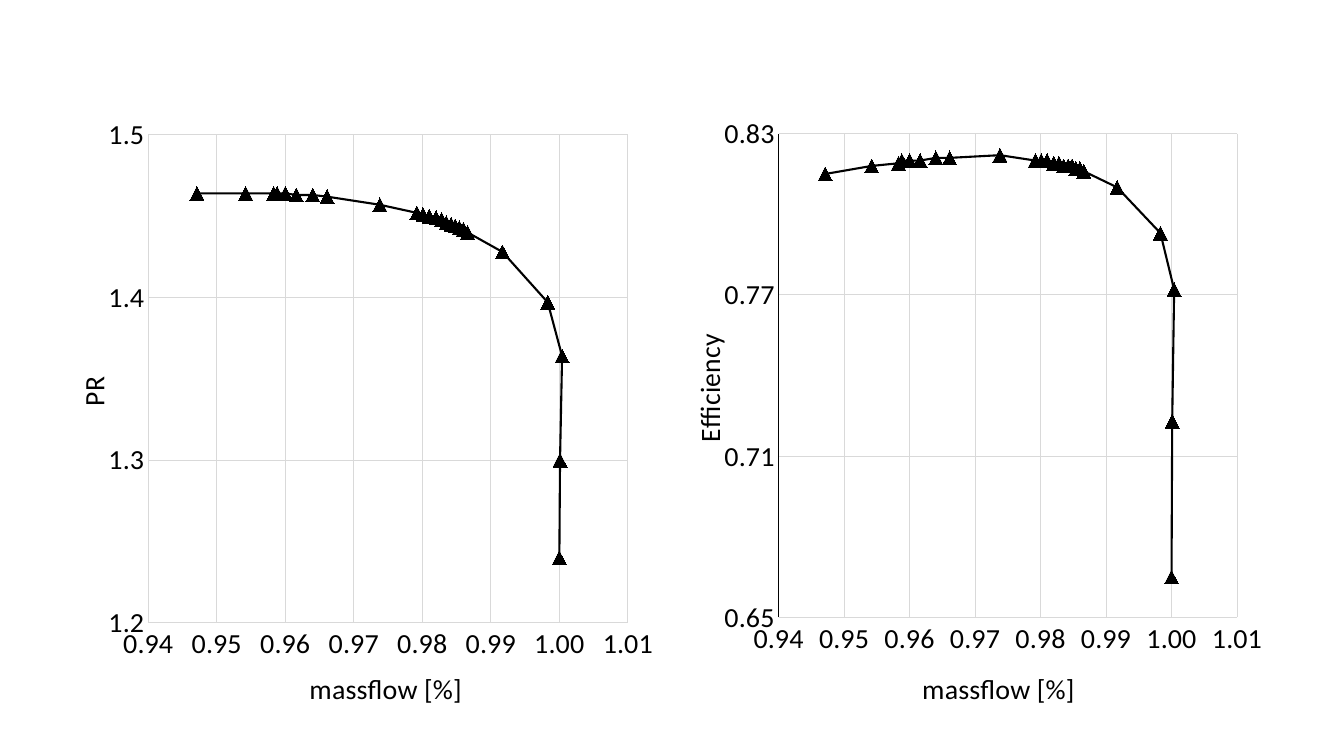
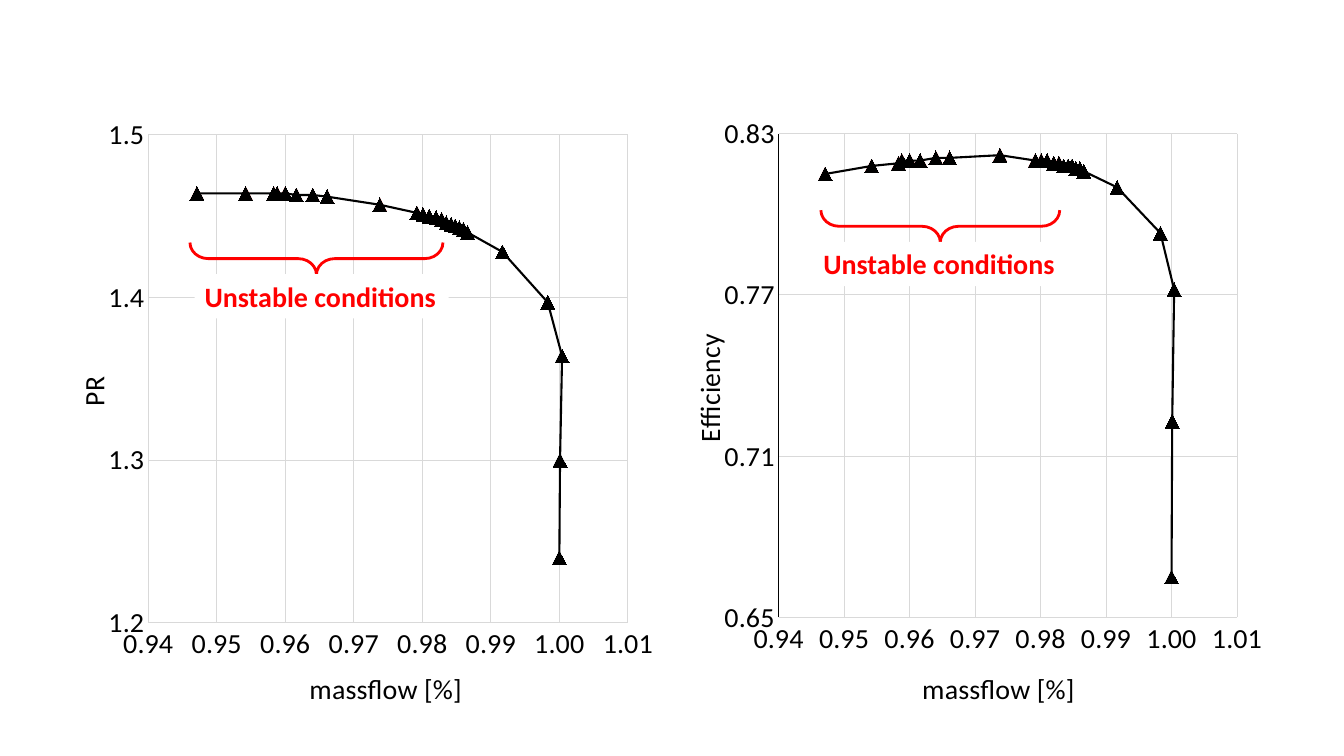
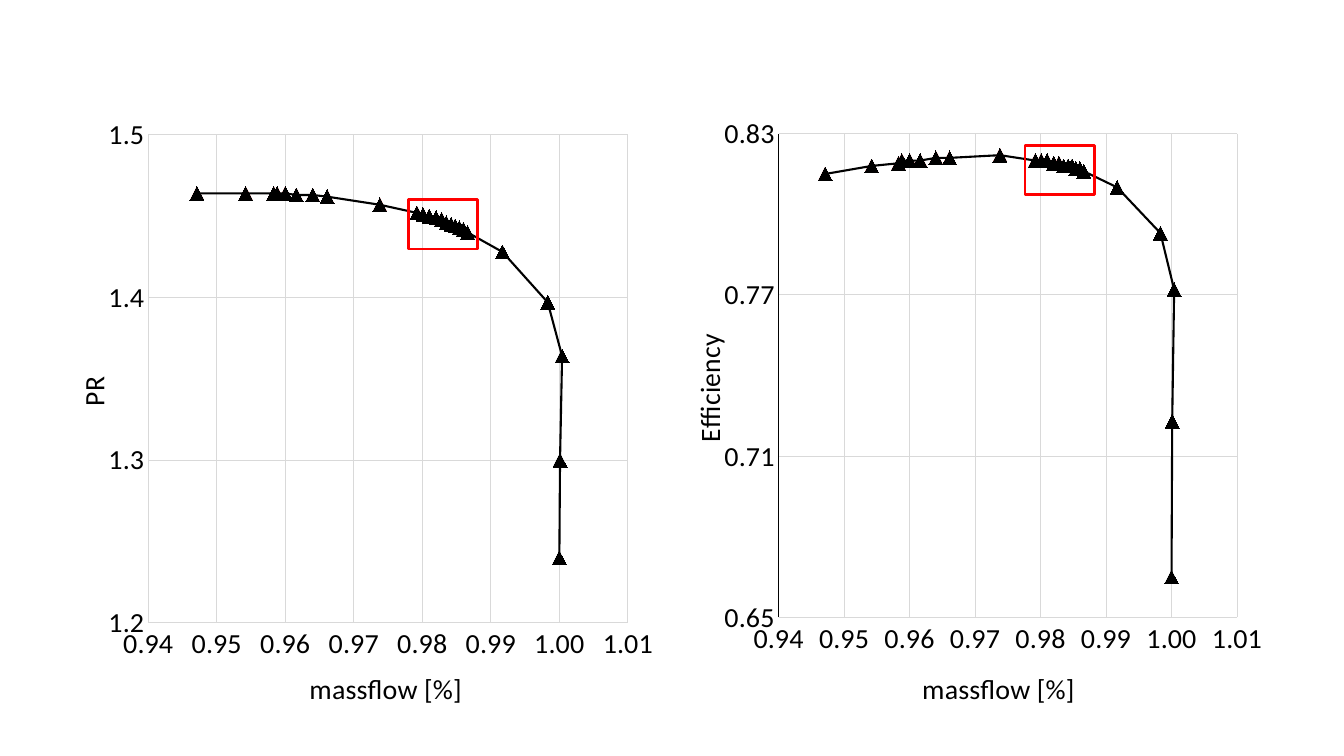
from dataclasses import dataclass

from lxml import etree
from pptx import Presentation
from pptx.chart.data import XyChartData
from pptx.dml.color import RGBColor
from pptx.enum.chart import XL_CHART_TYPE, XL_MARKER_STYLE, XL_TICK_MARK
from pptx.enum.shapes import MSO_SHAPE
from pptx.enum.text import MSO_ANCHOR, MSO_AUTO_SIZE, PP_ALIGN
from pptx.oxml.ns import qn
from pptx.util import Pt

# Shared style
FONT, TEXT_SIZE = "Calibri", 20
BLACK, RED, WHITE, GRID = "000000", "FF0000", "FFFFFF", "D9D9D9"
CHART_TOP, CHART_SIZE = 78.5, 432
LABEL_WIDTH, LABEL_HEIGHT = 181.4, 31.7
FRAME_WIDTH, FRAME_HEIGHT = 49.7, 35.3
BRACE_DEPTH = 23

# Operating points, from choke to stall
MASSFLOW = [1, 1.0001, 1.0004, 0.9983, 0.9917, 0.9866, 0.986, 0.9854, 0.9848,
            0.9842, 0.9835, 0.9828, 0.982, 0.981, 0.9801, 0.9792, 0.9738,
            0.9661, 0.964, 0.9616, 0.96, 0.9588, 0.9583, 0.9542, 0.9471]
PRESSURE_RATIO = [1.24, 1.3, 1.364, 1.397, 1.428, 1.44, 1.442, 1.443, 1.444,
                  1.445, 1.446, 1.448, 1.449, 1.45, 1.451, 1.452, 1.457,
                  1.462, 1.463, 1.463, 1.464, 1.464, 1.464, 1.464, 1.464]
EFFICIENCY = [0.665, 0.723, 0.772, 0.793, 0.81, 0.816, 0.817, 0.817, 0.818,
              0.818, 0.818, 0.819, 0.819, 0.82, 0.82, 0.82, 0.822,
              0.821, 0.821, 0.82, 0.82, 0.82, 0.819, 0.818, 0.815]
FIRST_UNSTABLE = 11


@dataclass
class Panel:
    """One performance map and the places of its annotations."""
    left: float
    title: str
    values: list
    scale: tuple            # minimum, maximum, step
    number_format: str
    axis_line: bool
    plot: tuple             # x, y, width, height as fractions
    x_title_at: tuple
    y_title_at: tuple
    brace: tuple            # left, top, length
    label: tuple            # left, top
    frame: tuple            # left, top


PANELS = [
    Panel(40.3, "PR", PRESSURE_RATIO, (1.2, 1.5, 0.1), "General", False,
          (0.152, 0.042, 0.793, 0.819), (0.41, 0.93), (0.02, 0.44),
          (135.7, 173.2, 180.7), (139, 195.8), (291.6, 142.6)),
    Panel(480.2, "Efficiency", EFFICIENCY, (0.65, 0.83, 0.06), "#,##0.00", True,
          (0.176, 0.04, 0.758, 0.812), (0.405, 0.93), (0.02, 0.37),
          (586.4, 150.1, 170.6), (581, 172.8), (732.2, 103.7)),
]


def rgb(hex_colour):
    return RGBColor.from_string(hex_colour)


def set_font(font, colour=BLACK, bold=False):
    font.name, font.size, font.bold = FONT, Pt(TEXT_SIZE), bold
    font.color.rgb = rgb(colour)


def set_line(line, colour, width):
    line.color.rgb = rgb(colour)
    line.width = Pt(width)


def set_layout(parent, index, **settings):
    """Give a plot area or an axis title a fixed place in its chart."""
    for old in parent.findall(qn("c:layout")):
        parent.remove(old)
    layout = etree.Element(qn("c:layout"))
    manual = etree.SubElement(layout, qn("c:manualLayout"))
    for name, value in settings.items():
        etree.SubElement(manual, qn("c:" + name)).set("val", str(value))
    parent.insert(index, layout)


# Charts
def style_axis(axis, title, title_at, scale, number_format, has_line):
    axis.minimum_scale, axis.maximum_scale, axis.major_unit = scale
    axis.major_tick_mark = axis.minor_tick_mark = XL_TICK_MARK.NONE
    axis.has_major_gridlines = True
    set_line(axis.major_gridlines.format.line, GRID, 0.75)
    if has_line:
        set_line(axis.format.line, BLACK, 0.75)
    else:
        axis.format.line.fill.background()
    labels = axis.tick_labels
    labels.number_format, labels.number_format_is_linked = number_format, False
    set_font(labels.font)
    frame = axis.axis_title.text_frame
    frame.text = title
    set_font(frame.paragraphs[0].runs[0].font)
    x, y = title_at
    set_layout(frame._txBody.getparent().getparent(), 1,
               xMode="edge", yMode="edge", x=x, y=y)


def style_series(series, colour, has_line):
    series.smooth = False
    if has_line:
        set_line(series.format.line, colour, 1.5)
    else:
        series.format.line.fill.background()
    marker = series.marker
    marker.style, marker.size = XL_MARKER_STYLE.TRIANGLE, 10
    marker.format.fill.solid()
    marker.format.fill.fore_color.rgb = rgb(colour)
    set_line(marker.format.line, colour, 0.75)


def add_map(slide, panel, mark_unstable):
    data = XyChartData()
    starts = [0, FIRST_UNSTABLE] if mark_unstable else [0]
    for number, start in enumerate(starts, 1):
        series = data.add_series(f"Series {number}")
        for x, y in zip(MASSFLOW[start:], panel.values[start:]):
            series.add_data_point(x, y)
    chart = slide.shapes.add_chart(
        XL_CHART_TYPE.XY_SCATTER_LINES, Pt(panel.left), Pt(CHART_TOP),
        Pt(CHART_SIZE), Pt(CHART_SIZE), data).chart
    chart.has_title = chart.has_legend = False
    set_font(chart.font)
    plot = chart.plots[0]
    plot.vary_by_categories = False
    for series, colour in zip(plot.series, (BLACK, RED)):
        style_series(series, colour, has_line=colour == BLACK)
    style_axis(chart.category_axis, "massflow [%]", panel.x_title_at,
               (0.94, 1.01, 0.01), "#,##0.00", False)
    style_axis(chart.value_axis, panel.title, panel.y_title_at,
               panel.scale, panel.number_format, panel.axis_line)
    x, y, width, height = panel.plot
    set_layout(chart._chartSpace.chart.plotArea, 0, layoutTarget="inner",
               xMode="edge", yMode="edge", x=x, y=y, w=width, h=height)


# Annotations
def add_shape(slide, kind, left, top, width, height, fill=None, outline=None):
    shape = slide.shapes.add_shape(kind, Pt(left), Pt(top), Pt(width), Pt(height))
    shape.shadow.inherit = False
    if fill:
        shape.fill.solid()
        shape.fill.fore_color.rgb = rgb(fill)
    else:
        shape.fill.background()
    if outline:
        set_line(shape.line, outline, 2)
    else:
        shape.line.fill.background()
    return shape


def add_brace(slide, left, top, length):
    """A brace that lies flat, with its tip down."""
    shift = (length - BRACE_DEPTH) / 2
    brace = add_shape(slide, MSO_SHAPE.LEFT_BRACE, left + shift, top - shift,
                      BRACE_DEPTH, length, outline=RED)
    brace.rotation = 270
    brace.adjustments[0], brace.adjustments[1] = 0.568, 0.5


def add_label(slide, text, left, top):
    label = add_shape(slide, MSO_SHAPE.RECTANGLE, left, top,
                      LABEL_WIDTH, LABEL_HEIGHT, fill=WHITE)
    frame = label.text_frame
    frame.text = text
    frame.word_wrap = False
    frame.auto_size = MSO_AUTO_SIZE.SHAPE_TO_FIT_TEXT
    frame.vertical_anchor = MSO_ANCHOR.TOP
    paragraph = frame.paragraphs[0]
    paragraph.alignment = PP_ALIGN.LEFT
    set_font(paragraph.runs[0].font, RED, bold=True)


def add_maps_slide(deck, mark_unstable=False):
    slide = deck.slides.add_slide(deck.slide_layouts[6])
    for panel in PANELS:
        add_map(slide, panel, mark_unstable)
    return slide


def main():
    deck = Presentation()
    deck.slide_width, deck.slide_height = Pt(960), Pt(540)

    # Maps alone
    add_maps_slide(deck)

    # Unstable range
    slide = add_maps_slide(deck, mark_unstable=True)
    for panel in PANELS:
        add_brace(slide, *panel.brace)
        add_label(slide, "Unstable conditions", *panel.label)

    # Onset of instability
    slide = add_maps_slide(deck, mark_unstable=True)
    for panel in PANELS:
        add_shape(slide, MSO_SHAPE.RECTANGLE, *panel.frame,
                  FRAME_WIDTH, FRAME_HEIGHT, outline=RED)

    deck.save("out.pptx")


main()
